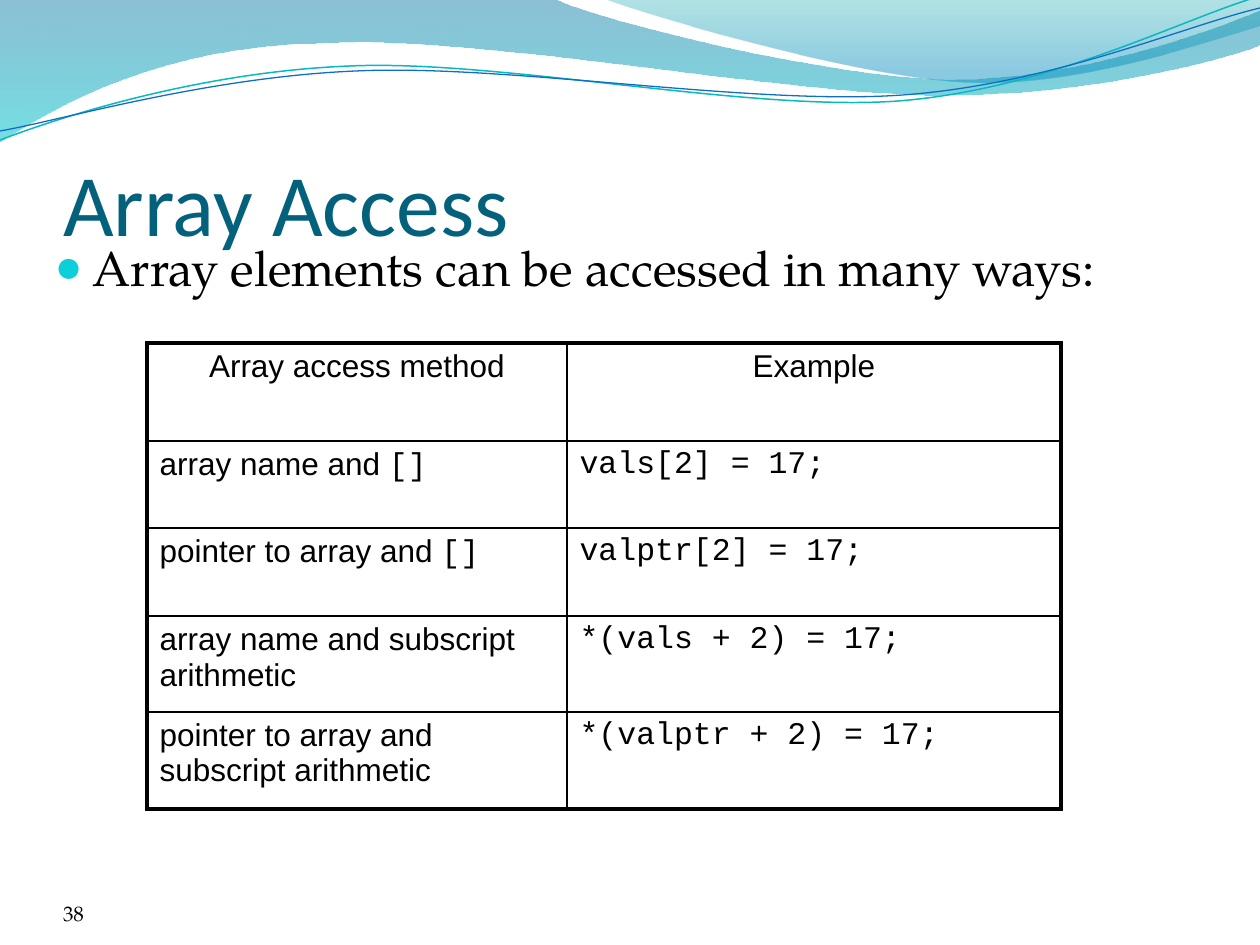
import lxml.etree
import pptx
import pptx.dml.color
import pptx.enum.text
import pptx.oxml
import pptx.oxml.ns
import pptx.util

PX = 914400 // 126
COLORS = {"title": "04617B", "text": "000000", "bullet": "0BD0D9",
          "wave_dark": "0074A1", "wave_cyan": "00C6CF",
          "wave_teal": "00A1A9", "wave_sky": "008BBF",
          "line_teal": "0AB8BF", "line_blue": "0F6FC6"}
SERIF = "TeX Gyre Pagella"
rgb = pptx.dml.color.RGBColor.from_string
qn = pptx.oxml.ns.qn
ALIGN = pptx.enum.text.PP_ALIGN
ANCHOR = pptx.enum.text.MSO_ANCHOR


def draw_outline(shapes, start, segments, close):
    """Draw segments of one end point (straight) or three points (cubic Bezier)."""
    builder = shapes.build_freeform(start[0] * PX, start[1] * PX)
    builder.add_line_segments([(x * PX, y * PX) for segment in segments for x, y in segment],
                              close=close)
    sp = builder.convert_to_shape()
    sp.shadow.inherit = False
    steps = iter(list(sp.element.iter(qn("a:lnTo"))))
    for segment in segments:
        group = [next(steps) for _ in segment]
        if len(group) == 3:
            curve = lxml.etree.Element(qn("a:cubicBezTo"))
            group[0].addprevious(curve)
            for step in group:
                curve.append(step[0])
                step.getparent().remove(step)
    return sp


def style_font(r, name, size, color="text"):
    r.font.name = name
    r.font.size = pptx.util.Pt(size)
    r.font.color.rgb = rgb(COLORS[color])


prs = pptx.Presentation()
prs.slide_width, prs.slide_height = 1260 * PX, 945 * PX
s = prs.slides.add_slide(prs.slide_layouts[1])
title, body = s.placeholders

# Waves across the top: start, segments, gradient stops (position, colour, opacity)
waves = [
    ((0, 0),
     [[(554, -1)],
      [(600, 21), (837, 79), (955, 79)], [(1075, 79), (1207, 33), (1260, 11)],
      [(1261, 45)],
      [(1239, 55), (1096, 96), (940, 95)], [(784, 95), (481, 35), (324, 43)],
      [(163, 45), (58, 105), (-1, 142)]],
     [(0, "wave_dark", 45), (1, "wave_cyan", 55)]),
    ((604, -1),
     [[(641, 14), (859, 78), (969, 82)], [(1079, 87), (1211, 40), (1260, 26)],
      [(1260, 0)]],
     [(0, "wave_teal", 30), (0.8, "wave_sky", 45)]),
]
for start, segments, stops in waves:
    sp = draw_outline(s.shapes, start, segments, True)
    sp.line.fill.background()
    sp.fill.gradient()
    sp.fill.gradient_angle = 270
    for stop, (position, color, opacity) in zip(sp.fill.gradient_stops, stops):
        stop.position = position
        stop.color.rgb = rgb(COLORS[color])
    for clr, (_, _, opacity) in zip(sp.element.spPr.iter(qn("a:srgbClr")), stops):
        lxml.etree.SubElement(clr, qn("a:alpha"), val=str(opacity * 1000))
    title.element.addprevious(sp.element)

wave_lines = [
    ((0, 140),
     [[(60, 117), (199, 72), (349, 66)], [(498, 59), (747, 112), (898, 101)],
      [(1050, 89), (1182, 19), (1257, -3)]], "line_teal", 0.85),
    ((0, 131),
     [[(59, 121), (207, 77), (357, 71)], [(508, 64), (752, 106), (903, 95)],
      [(1053, 84), (1184, 26), (1260, 8)]], "line_blue", 0.75),
]
for start, segments, color, width in wave_lines:
    sp = draw_outline(s.shapes, start, segments, False)
    sp.fill.background()
    sp.line.color.rgb = rgb(COLORS[color])
    sp.line.width = pptx.util.Pt(width)
    title.element.addprevious(sp.element)

# Title
title.left, title.top, title.width, title.height = 63 * PX, 97 * PX, 1134 * PX, 157 * PX
tf = title.text_frame
tf.text = "Array Access"
tf.auto_size = pptx.enum.text.MSO_AUTO_SIZE.NONE
tf.vertical_anchor = ANCHOR.BOTTOM
tf.margin_left = tf.margin_right = tf.margin_bottom = 0
tf.paragraphs[0].alignment = ALIGN.LEFT
style_font(tf.paragraphs[0].runs[0], "Calibri", 50, "title")

# Bulleted sentence
body.left, body.top, body.width, body.height = 42 * PX, 231 * PX, 1144 * PX, 609 * PX
tf = body.text_frame
tf.text = "Array elements can be accessed in many ways:"
tf.auto_size = pptx.enum.text.MSO_AUTO_SIZE.NONE
p = tf.paragraphs[0]
p.space_before = pptx.util.Pt(0)
pPr = p._p.get_or_add_pPr()
pPr.set("marL", str(38 * PX))
pPr.set("indent", str(-38 * PX))
bullet_color = lxml.etree.SubElement(pPr, qn("a:buClr"))
lxml.etree.SubElement(bullet_color, qn("a:srgbClr"), val=COLORS["bullet"])
lxml.etree.SubElement(pPr, qn("a:buSzPct"), val="95000")
lxml.etree.SubElement(pPr, qn("a:buChar"), char="●")
style_font(p.runs[0], SERIF, 28)

# Table: each cell is a list of (text, font) runs
SANS, MONO = "Arial", "Courier New"
rows = [
    ([("Array access method", SANS)], [("Example", SANS)]),
    ([("array name and ", SANS), ("[]", MONO)], [("vals[2] = 17;", MONO)]),
    ([("pointer to array and ", SANS), ("[]", MONO)], [("valptr[2] = 17;", MONO)]),
    ([("array name and subscript arithmetic", SANS)], [("*(vals + 2) = 17;", MONO)]),
    ([("pointer to array and subscript arithmetic", SANS)], [("*(valptr + 2) = 17;", MONO)]),
]
col_widths = [420, 494]
row_heights = [98, 87, 88, 96, 97]
table = s.shapes.add_table(len(rows), len(col_widths), 147 * PX, 343 * PX,
                           sum(col_widths) * PX, sum(row_heights) * PX).table
table.first_row = table.horz_banding = False
for column, width in zip(table.columns, col_widths):
    column.width = width * PX
for row, height in zip(table.rows, row_heights):
    row.height = height * PX
for i, row in enumerate(rows):
    for j, runs in enumerate(row):
        cell = table.cell(i, j)
        p = cell.text_frame.paragraphs[0]
        p.alignment = ALIGN.CENTER if i == 0 else ALIGN.LEFT
        for text, font in runs:
            r = p.add_run()
            r.text = text
            style_font(r, font, 18)
        outer = {"lnL": j == 0, "lnR": j == len(row) - 1,
                 "lnT": i == 0, "lnB": i == len(rows) - 1}
        tcPr = cell._tc.get_or_add_tcPr()
        for side, is_outer in outer.items():
            width = pptx.util.Pt(2.25 if is_outer else 1)
            ln = lxml.etree.SubElement(tcPr, qn("a:" + side), w=str(width))
            fill = lxml.etree.SubElement(ln, qn("a:solidFill"))
            lxml.etree.SubElement(fill, qn("a:srgbClr"), val=COLORS["text"])
        cell.fill.background()

# Slide number
tf = s.shapes.add_textbox(63 * PX, 876 * PX, 294 * PX, 50 * PX).text_frame
tf.text = "38"
tf.word_wrap = True
tf.vertical_anchor = ANCHOR.BOTTOM
tf.margin_left = tf.margin_right = tf.margin_top = tf.margin_bottom = 0
style_font(tf.paragraphs[0].runs[0], SERIF, 12)

prs.save("out.pptx")
